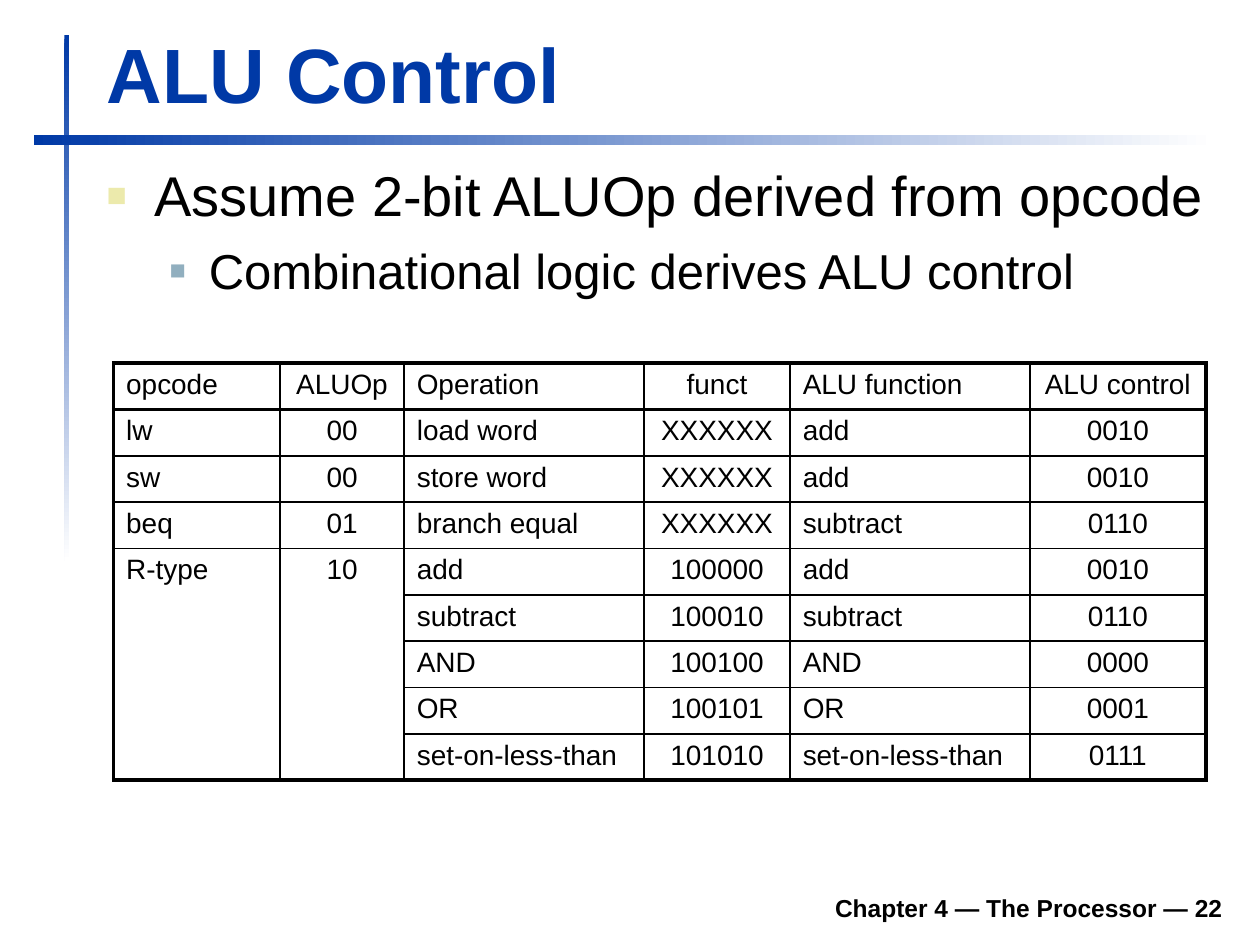
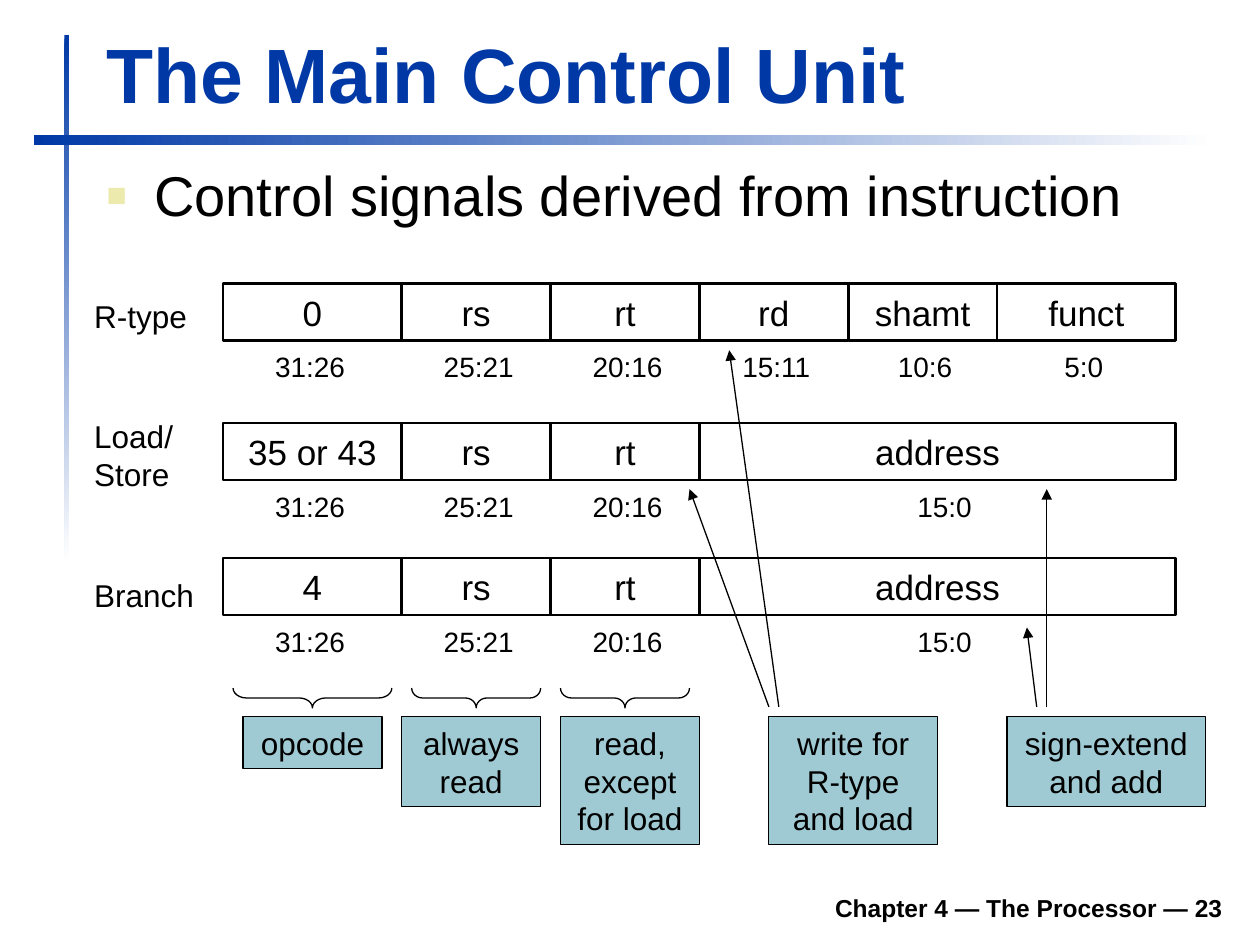
from dataclasses import dataclass
from typing import NamedTuple

from lxml.etree import SubElement
from pptx import Presentation
from pptx.dml.color import RGBColor
from pptx.enum.shapes import MSO_CONNECTOR, MSO_SHAPE
from pptx.enum.text import MSO_ANCHOR, PP_ALIGN
from pptx.oxml import parse_xml
from pptx.oxml.ns import nsdecls, qn
from pptx.util import Cm, Pt


# Theme: colours, type sizes and line widths
@dataclass(frozen=True)
class Theme:
    font: str = "Arial"
    ink: str = "000000"
    blue: str = "0039A6"
    white: str = "FFFFFF"
    teal: str = "9FCAD3"
    bullets: tuple = ("ECEAAC", "91AFBF")
    title: int = 44
    body: tuple = (32, 28)
    field: int = 20
    label: int = 18
    small: int = 16
    footer: int = 14
    thin: float = 0.75
    grid: float = 1
    firm: float = 1.5
    thick: float = 2.25


THEME = Theme()


class Point(NamedTuple):
    text: str
    level: int = 0


class Field(NamedTuple):
    text: str
    bits: str
    width: float
    shift: float = 0.05


class Format(NamedTuple):
    label: str
    label_top: float
    top: float
    fields: list


class Callout(NamedTuple):
    text: str
    left: float
    width: float
    lines: int


class Arrow(NamedTuple):
    x1: float
    y1: float
    x2: float
    y2: float


# Slide content
OPS = [
    ("opcode", "ALUOp", "Operation", "funct", "ALU function", "ALU control"),
    ("lw", "00", "load word", "XXXXXX", "add", "0010"),
    ("sw", "00", "store word", "XXXXXX", "add", "0010"),
    ("beq", "01", "branch equal", "XXXXXX", "subtract", "0110"),
    ("R-type", "10", "add", "100000", "add", "0010"),
    ("", "", "subtract", "100010", "subtract", "0110"),
    ("", "", "AND", "100100", "AND", "0000"),
    ("", "", "OR", "100101", "OR", "0001"),
    ("", "", "set-on-less-than", "101010", "set-on-less-than", "0111"),
]
COLS = (3.35, 2.51, 4.83, 2.95, 4.83, 3.55)
ROW = 0.934
MERGE_TOP = 4

WIDE, SLIM, LEFT = 3.6, 3.0, 4.5
REGS = [Field("rs", "25:21", SLIM), Field("rt", "20:16", SLIM)]
ADDRESS = Field("address", "15:0", 2 * SLIM + WIDE, 0.14)


def opcode(text: str) -> Field:
    return Field(text, "31:26", WIDE, -0.05)


FORMATS = [
    Format("R-type", 5.87, 5.72, [
        opcode("0"), *REGS, Field("rd", "15:11", SLIM),
        Field("shamt", "10:6", SLIM), Field("funct", "5:0", WIDE, -0.05)]),
    Format("Load/\nStore", 8.28, 8.53, [opcode("35 or 43"), *REGS, ADDRESS]),
    Format("Branch", 11.48, 11.25, [opcode("4"), *REGS, ADDRESS]),
]
CALLOUTS = [
    Callout("opcode", 4.9, 2.8, 1),
    Callout("always read", 8.1, 2.8, 2),
    Callout("read, except for load", 11.3, 2.8, 3),
    Callout("write for R-type and load", 15.5, 3.4, 3),
    Callout("sign-extend and add", 20.3, 4, 2),
]
ARROWS = [
    Arrow(15.5, 14.25, 13.9, 9.86),
    Arrow(15.7, 14.25, 14.7, 7.06),
    Arrow(20.9, 14.25, 20.7, 12.65),
    Arrow(21.1, 14.25, 21.1, 9.86),
]


# Drawing helpers
def rgb(code: str) -> RGBColor:
    return RGBColor.from_string(code)


def write(para, text: str, *, size: float, color: str = THEME.ink,
          bold: bool = False, align=PP_ALIGN.LEFT) -> None:
    para.text = text
    para.alignment = align
    for run in para.runs:
        font = run.font
        font.name, font.size, font.bold = THEME.font, Pt(size), bold
        font.color.rgb = rgb(color)


def text_box(slide, left: float, top: float, width: float, height: float,
             text: str = "", *, anchor=MSO_ANCHOR.TOP, **style):
    box = slide.shapes.add_textbox(Cm(left), Cm(top), Cm(width), Cm(height))
    frame = box.text_frame
    frame.word_wrap = True
    frame.vertical_anchor = anchor
    if text:
        write(frame.paragraphs[0], text, **style)
    return frame


def add_shape(slide, kind, left: float, top: float, width: float, height: float,
              *, fill: str = "", line: float = 0):
    shape = slide.shapes.add_shape(kind, Cm(left), Cm(top), Cm(width), Cm(height))
    shape.shadow.inherit = False
    if fill:
        shape.fill.solid()
        shape.fill.fore_color.rgb = rgb(fill)
    else:
        shape.fill.background()
    if line:
        shape.line.color.rgb = rgb(THEME.ink)
        shape.line.width = Pt(line)
    else:
        shape.line.fill.background()
    return shape


def add_box(slide, left: float, top: float, width: float, height: float,
            text: str, *, size: float, line: float, fill: str = "") -> None:
    box = add_shape(slide, MSO_SHAPE.RECTANGLE, left, top, width, height,
                    fill=fill, line=line)
    frame = box.text_frame
    frame.word_wrap = True
    frame.vertical_anchor = MSO_ANCHOR.MIDDLE
    write(frame.paragraphs[0], text, size=size, align=PP_ALIGN.CENTER)


def add_fade(slide, left: float, top: float, width: float, height: float,
             angle: float) -> None:
    bar = add_shape(slide, MSO_SHAPE.RECTANGLE, left, top, width, height)
    bar.fill.gradient()
    bar.fill.gradient_angle = angle
    for stop, color in zip(bar.fill.gradient_stops, (THEME.blue, THEME.white)):
        stop.color.rgb = rgb(color)


def add_arrow(slide, arrow: Arrow) -> None:
    ends = [Cm(value) for value in arrow]
    link = slide.shapes.add_connector(MSO_CONNECTOR.STRAIGHT, *ends)
    link.line.color.rgb = rgb(THEME.ink)
    link.line.width = Pt(THEME.thin)
    SubElement(link.line._get_or_add_ln(), qn("a:tailEnd"), type="triangle")
    SubElement(link._element.spPr, qn("a:effectLst"))


def add_points(slide, points: list) -> None:
    frame = text_box(slide, 1.9, 3.12, 23, 2 * len(points))
    for index, point in enumerate(points):
        para = frame.add_paragraph() if index else frame.paragraphs[0]
        margin, indent, scale = ((0.96, 0.96, 60), (2.06, 0.79, 55))[point.level]
        props = para._p.get_or_add_pPr()
        props.set("marL", str(Cm(margin)))
        props.set("indent", str(-Cm(indent)))
        color = SubElement(props, qn("a:buClr"))
        SubElement(color, qn("a:srgbClr"), val=THEME.bullets[point.level])
        SubElement(props, qn("a:buSzPct"), val=str(scale * 1000))
        SubElement(props, qn("a:buFont"), typeface=THEME.font)
        SubElement(props, qn("a:buChar"), char="■")
        if index:
            para.space_before = Pt(7)
        write(para, point.text, size=THEME.body[point.level])


def set_edges(cell, **widths: float) -> None:
    props = cell._tc.get_or_add_tcPr()
    for index, (side, width) in enumerate(widths.items()):
        props.insert(index, parse_xml(
            f'<a:ln{side} {nsdecls("a")} w="{Pt(width)}"><a:solidFill>'
            f'<a:srgbClr val="{THEME.ink}"/></a:solidFill></a:ln{side}>'))


# Shared frame of every slide
def add_slide(deck, title: str, number: int, points: list):
    slide = deck.slides.add_slide(deck.slide_layouts[6])
    add_fade(slide, 1.3, 0.71, 0.1, 10.6, 270)
    add_fade(slide, 0.69, 2.72, 23.8, 0.2, 0)
    text_box(slide, 4.7, 17.73, 20.2, 0.99, f"Chapter 4 — The Processor — {number}",
             anchor=MSO_ANCHOR.BOTTOM, size=THEME.footer, bold=True,
             align=PP_ALIGN.RIGHT)
    text_box(slide, 1.9, 0.41, 22.94, 2.11, title, anchor=MSO_ANCHOR.BOTTOM,
             size=THEME.title, color=THEME.blue, bold=True)
    add_points(slide, points)
    return slide


# ALU control table
def add_ops(slide) -> None:
    last_row, last_col = len(OPS) - 1, len(COLS) - 1
    table = slide.shapes.add_table(len(OPS), len(COLS), Cm(2.29), Cm(7.32),
                                   Cm(sum(COLS)), Cm(ROW * len(OPS))).table
    table.first_row = table.horz_banding = False
    for col, width in zip(table.columns, COLS):
        col.width = Cm(width)
    for row in table.rows:
        row.height = Cm(ROW)
    for col in (0, 1):
        table.cell(MERGE_TOP, col).merge(table.cell(last_row, col))

    rules = [THEME.thick, THEME.firm] + [THEME.grid] * (last_row - 1) + [THEME.thick]
    for r, texts in enumerate(OPS):
        for c, text in enumerate(texts):
            cell = table.cell(r, c)
            cell.fill.background()
            if cell.is_spanned:
                continue
            write(cell.text_frame.paragraphs[0], text, size=THEME.small,
                  align=PP_ALIGN.CENTER if c % 2 else PP_ALIGN.LEFT)
            bottom = last_row if cell.is_merge_origin else r
            set_edges(cell, L=THEME.grid if c else THEME.thick,
                      R=THEME.thick if c == last_col else THEME.grid,
                      T=rules[r], B=rules[bottom + 1])


# Instruction formats
def add_format(slide, form: Format) -> None:
    text_box(slide, 1.65, form.label_top, 2.8, 1, form.label, size=THEME.label)
    left = LEFT
    for field in form.fields:
        add_box(slide, left, form.top, field.width, 1.15, field.text,
                size=THEME.field, line=THEME.firm)
        text_box(slide, left + field.shift, form.top + 1.21, field.width, 0.94,
                 field.bits, size=THEME.small, align=PP_ALIGN.CENTER)
        left += field.width


def add_braces(slide) -> None:
    left, thick = LEFT, 0.4
    for width in (WIDE, SLIM, SLIM):
        span = width - 0.4
        brace = add_shape(slide, MSO_SHAPE.LEFT_BRACE, left + (width - thick) / 2,
                          14.07 - span / 2, thick, span, line=THEME.thin)
        brace.rotation = 270
        brace.adjustments[0] = 0.21 * span
        left += width


def main() -> None:
    deck = Presentation()
    deck.slide_width, deck.slide_height = Cm(25.4), Cm(19.05)

    table_slide = add_slide(deck, "ALU Control", 22, [
        Point("Assume 2-bit ALUOp derived from opcode"),
        Point("Combinational logic derives ALU control", 1)])
    add_ops(table_slide)

    unit_slide = add_slide(deck, "The Main Control Unit", 23, [
        Point("Control signals derived from instruction")])
    for form in FORMATS:
        add_format(unit_slide, form)
    add_braces(unit_slide)
    for note in CALLOUTS:
        add_box(unit_slide, note.left, 14.45, note.width,
                1.04 + 0.765 * (note.lines - 1), note.text,
                size=THEME.label, line=THEME.thin, fill=THEME.teal)
    for arrow in ARROWS:
        add_arrow(unit_slide, arrow)

    deck.save("out.pptx")


if __name__ == "__main__":
    main()
